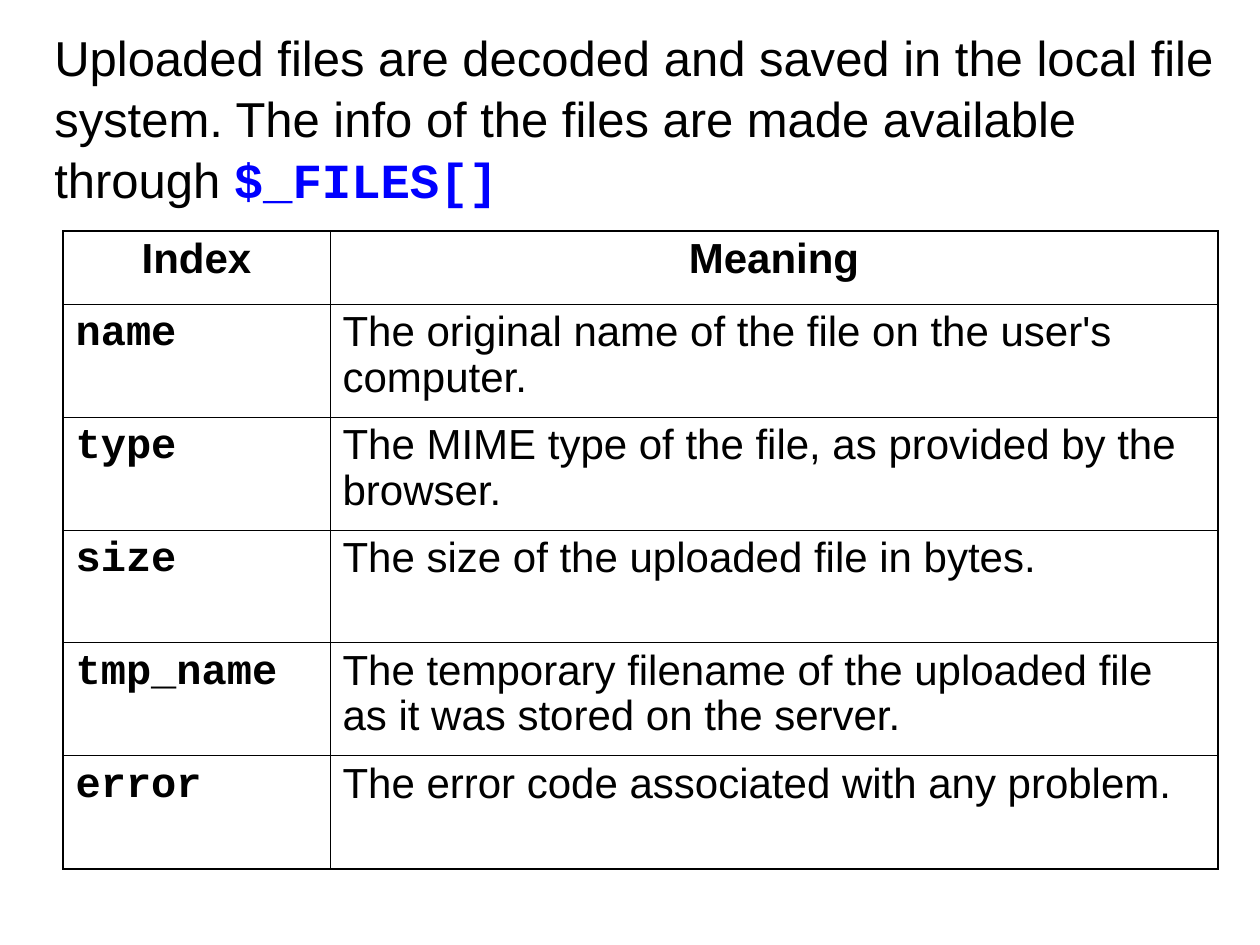
from pptx import Presentation
from pptx.dml.color import RGBColor
from pptx.enum.text import MSO_ANCHOR, PP_ALIGN
from pptx.oxml import parse_xml
from pptx.oxml.ns import nsdecls
from pptx.util import Emu, Pt

SCALE = 914400 // 126
BLACK, BLUE, WHITE = "000000", "0000FF", "FFFFFF"
SANS, MONO = "Arial", "Courier New"
THIN, THICK = 0.45, 1.08
COLS = [267, 888]
HEAD, ROW = 73, 113
FIELDS = [
    ("Index", "Meaning"),
    ("name", "The original name of the file on the user's computer."),
    ("type", "The MIME type of the file, as provided by the browser."),
    ("size", "The size of the uploaded file in bytes."),
    ("tmp_name", "The temporary filename of the uploaded file as it was stored on the server."),
    ("error", "The error code associated with any problem."),
]


def px(n):
    return Emu(n * SCALE)


def color(code):
    return RGBColor.from_string(code)


def style(font, size, name=SANS, code=BLACK, bold=False):
    font.size, font.name, font.bold = Pt(size), name, bold
    font.color.rgb = color(code)


def add_title(slide):
    box = slide.shapes.add_textbox(px(42), px(23), px(1197), px(188))
    frame = box.text_frame
    frame.word_wrap = True
    frame.vertical_anchor = MSO_ANCHOR.MIDDLE
    para = frame.paragraphs[0]
    para.line_spacing = 1.04
    intro, code = para.add_run(), para.add_run()
    intro.text = ("Uploaded files are decoded and saved in the local file system. "
                  "The info of the files are made available through ")
    code.text = "$_FILES[]"
    style(intro.font, 28)
    style(code.font, 28, MONO, BLUE, True)


def set_edges(cell, outer):
    """Draw the cell's edges, thick where outer is true (left, right, top, bottom)."""
    props = cell._tc.get_or_add_tcPr()
    for i, (side, edge) in enumerate(zip("LRTB", outer)):
        width = Pt(THICK if edge else THIN)
        props.insert(i, parse_xml(
            f'<a:ln{side} {nsdecls("a")} w="{width}"><a:solidFill>'
            f'<a:srgbClr val="{BLACK}"/></a:solidFill></a:ln{side}>'))


def fill_cell(cell, text, head, key):
    cell.fill.solid()
    cell.fill.fore_color.rgb = color(WHITE)
    cell.text = text
    para = cell.text_frame.paragraphs[0]
    para.alignment = PP_ALIGN.CENTER if head else PP_ALIGN.LEFT
    para.space_before = Pt(6)
    para.line_spacing = 0.97
    style(para.font, 24, MONO if key and not head else SANS, bold=head or key)


def add_fields(slide):
    last = len(FIELDS) - 1
    table = slide.shapes.add_table(
        len(FIELDS), len(COLS), px(63), px(231),
        px(sum(COLS)), px(HEAD + last * ROW)).table
    for col, width in zip(table.columns, COLS):
        col.width = px(width)
    for r, texts in enumerate(FIELDS):
        table.rows[r].height = px(ROW if r else HEAD)
        for c, text in enumerate(texts):
            cell = table.cell(r, c)
            fill_cell(cell, text, head=r == 0, key=c == 0)
            set_edges(cell, (c == 0, c == 1, r == 0, r == last))


def main():
    deck = Presentation()
    deck.slide_width, deck.slide_height = px(1260), px(945)
    slide = deck.slides.add_slide(deck.slide_layouts[6])
    add_title(slide)
    add_fields(slide)
    deck.save("out.pptx")


if __name__ == "__main__":
    main()
